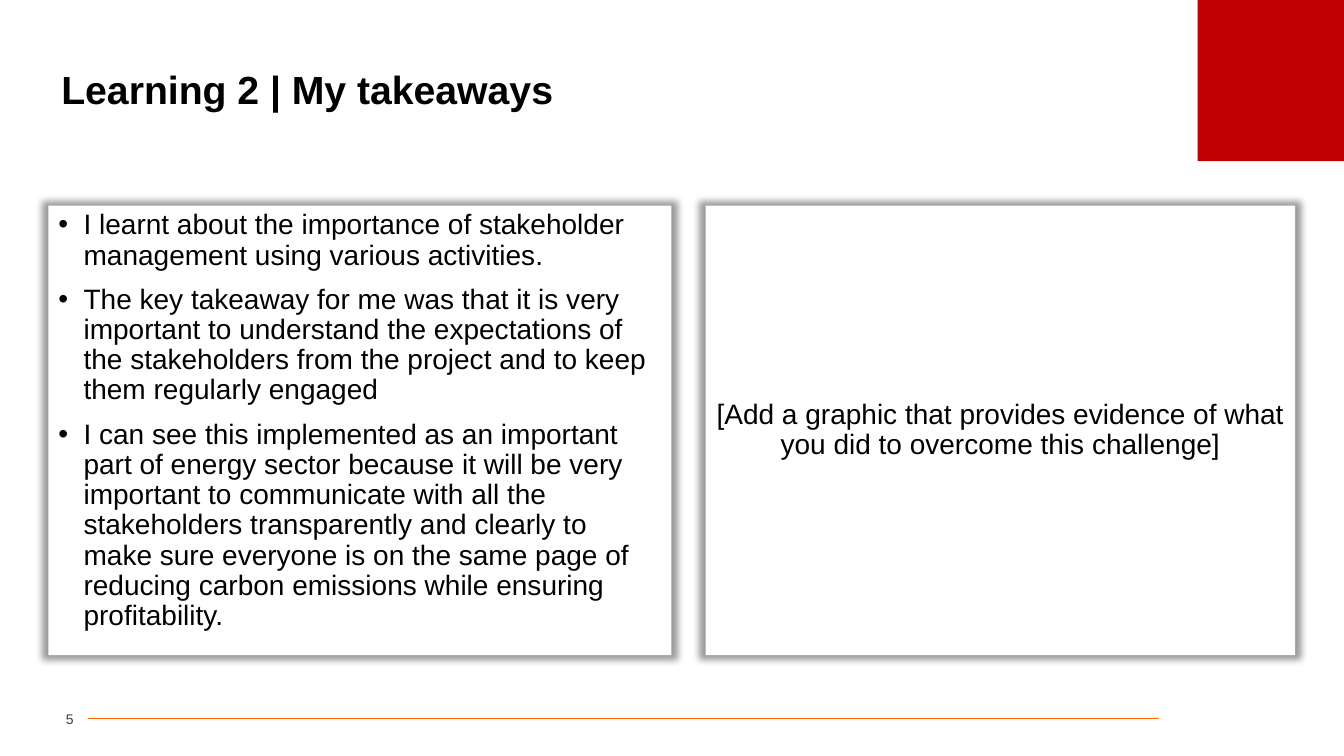
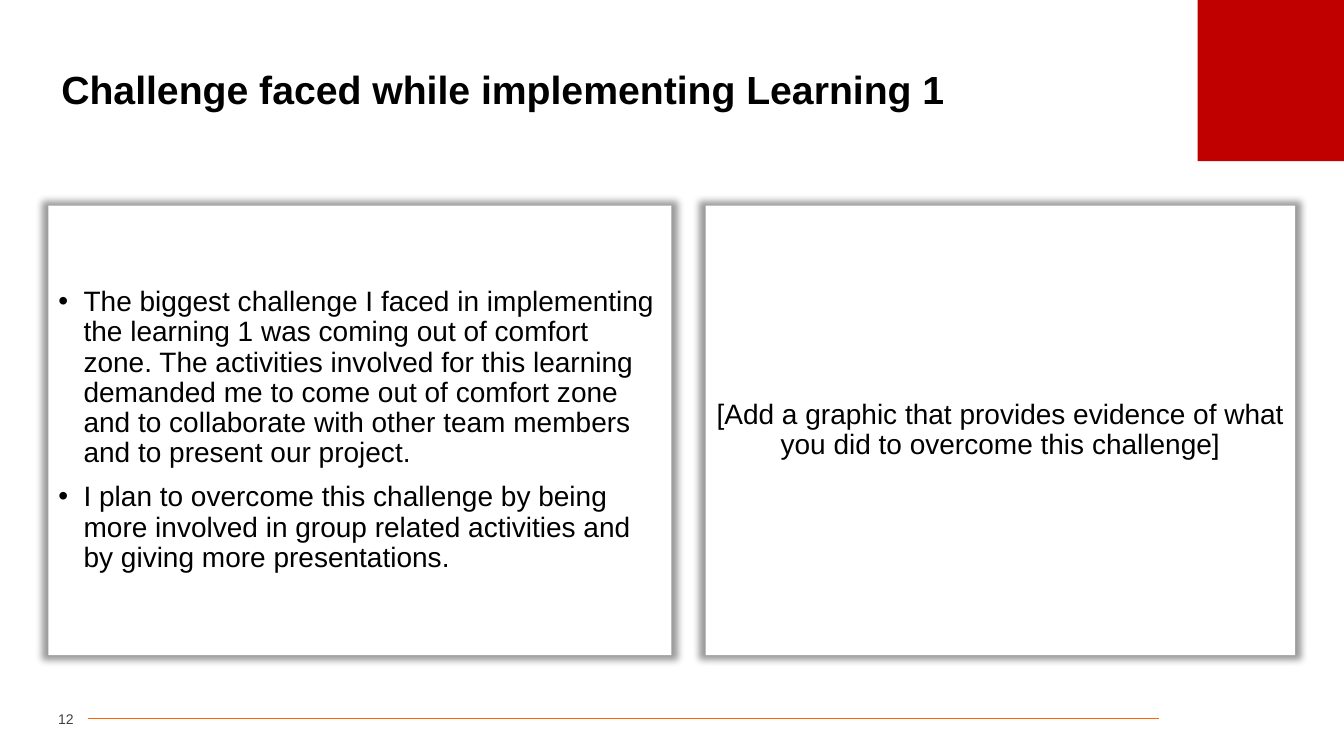
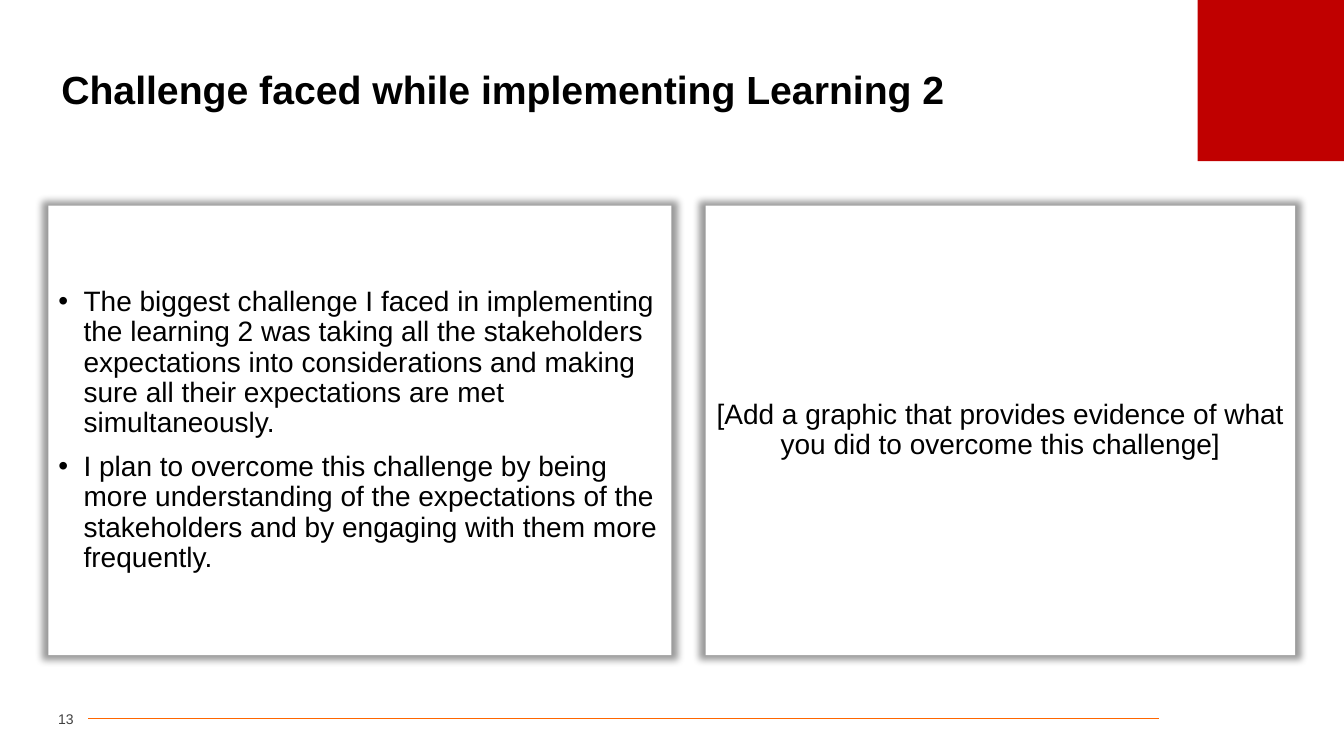
from pptx import Presentation
from pptx.dml.color import RGBColor
from pptx.enum.shapes import MSO_CONNECTOR, MSO_SHAPE
from pptx.enum.text import MSO_ANCHOR, PP_ALIGN
from pptx.oxml import parse_xml
from pptx.oxml.ns import nsdecls, qn
from pptx.oxml.xmlchemy import OxmlElement
from pptx.util import Pt

BLACK = RGBColor(0x00, 0x00, 0x00)
WHITE = RGBColor(0xFF, 0xFF, 0xFF)
RED = RGBColor(0xC0, 0x00, 0x00)
ORANGE = RGBColor(0xFF, 0x66, 0x00)
GREY = RGBColor(0x40, 0x40, 0x40)
RECTANGLE = MSO_SHAPE.RECTANGLE
STRAIGHT = MSO_CONNECTOR.STRAIGHT
TOP, MIDDLE = MSO_ANCHOR.TOP, MSO_ANCHOR.MIDDLE
LEFT, CENTER, RIGHT = PP_ALIGN.LEFT, PP_ALIGN.CENTER, PP_ALIGN.RIGHT

FONT = "Arial"
SLIDE_WIDTH, SLIDE_HEIGHT = 960, 540
PANEL_TOP, PANEL_HEIGHT = 146.9, 321.1
GRAPHIC_HINT = ("[Add a graphic that provides evidence of what you did "
                "to overcome this challenge]")

# Soft glow around a panel: slightly enlarged, centred, 40 % black
PANEL_SHADOW = (
    f'<a:outerShdw {nsdecls("a")} blurRad="63500" sx="102000" sy="102000" '
    'algn="ctr" rotWithShape="0"><a:srgbClr val="000000">'
    '<a:alpha val="40000"/></a:srgbClr></a:outerShdw>')

# Page number, title, anchor of the left panel, bullet points
PAGES = [
    (5, "Learning 2 | My takeaways", TOP, [
        "I learnt about the importance of stakeholder management using "
        "various activities.",
        "The key takeaway for me was that it is very important to understand "
        "the expectations of the stakeholders from the project and to keep "
        "them regularly engaged",
        "I can see this implemented as an important part of energy sector "
        "because it will be very important to communicate with all the "
        "stakeholders transparently and clearly to make sure everyone is on "
        "the same page of reducing carbon emissions while ensuring "
        "profitability."]),
    (12, "Challenge faced while implementing Learning 1", MIDDLE, [
        "The biggest challenge I faced in implementing the learning 1 was "
        "coming out of comfort zone. The activities involved for this "
        "learning demanded me to come out of comfort zone and to collaborate "
        "with other team members and to present our project.",
        "I plan to overcome this challenge by being more involved in group "
        "related activities and by giving more presentations."]),
    (13, "Challenge faced while implementing Learning 2", MIDDLE, [
        "The biggest challenge I faced in implementing the learning 2 was "
        "taking all the stakeholders expectations into considerations and "
        "making sure all their expectations are met simultaneously.",
        "I plan to overcome this challenge by being more understanding of "
        "the expectations of the stakeholders and by engaging with them more "
        "frequently."]),
]


def write_text(box, lines, size=20, color=BLACK, bold=False, align=LEFT,
               anchor=MIDDLE, spacing=0.9, before=0, bullet=False):
    frame = box.text_frame
    frame.word_wrap = True
    frame.vertical_anchor = anchor
    for index, line in enumerate(lines):
        para = frame.add_paragraph() if index else frame.paragraphs[0]
        para.alignment = align
        para.line_spacing = spacing
        para.space_before = Pt(before)
        span = para.add_run()
        span.text = line
        span.font.name = FONT
        span.font.size = Pt(size)
        span.font.bold = bold
        span.font.color.rgb = color
        if bullet:
            properties = para._p.get_or_add_pPr()
            properties.set("marL", str(Pt(18)))
            properties.set("indent", str(-Pt(18)))
            for tag, key, value in (("a:buFont", "typeface", FONT),
                                    ("a:buChar", "char", "•")):
                mark = OxmlElement(tag)
                mark.set(key, value)
                properties.append(mark)


def add_rectangle(page, left, top, width, height, color):
    box = page.shapes.add_shape(RECTANGLE, Pt(left), Pt(top),
                                Pt(width), Pt(height))
    box.fill.solid()
    box.fill.fore_color.rgb = color
    box.line.fill.background()
    box.shadow.inherit = False
    return box


deck = Presentation()
deck.slide_width, deck.slide_height = Pt(SLIDE_WIDTH), Pt(SLIDE_HEIGHT)

for number, title, points_anchor, points in PAGES:
    page = deck.slides.add_slide(deck.slide_layouts[6])

    # Footer line and corner block
    rule = page.shapes.add_connector(STRAIGHT, Pt(63), Pt(513),
                                     Pt(828), Pt(513))
    rule.line.color.rgb = ORANGE
    rule.line.width = Pt(0.5)
    rule._element.spPr.append(OxmlElement("a:effectLst"))
    add_rectangle(page, 855.4, 0, SLIDE_WIDTH - 855.4, 115.2, RED)

    # Title
    heading = page.shapes.add_textbox(Pt(36.7), Pt(37.4), Pt(886.3), Pt(56.2))
    write_text(heading, [title], size=28, bold=True)

    # Page number
    folio = page.shapes.add_textbox(Pt(23.8), Pt(503.3), Pt(28.8), Pt(20.9))
    folio.text_frame.margin_left = folio.text_frame.margin_right = 0
    write_text(folio, [str(number)], size=10, color=GREY, align=RIGHT,
               spacing=1.0)

    # Panels: bullet points and space for a graphic
    for left, width, lines, style in (
            (34.6, 445, points, {"anchor": points_anchor, "bullet": True}),
            (504, 421.2, [GRAPHIC_HINT], {"align": CENTER})):
        panel = add_rectangle(page, left, PANEL_TOP, width, PANEL_HEIGHT,
                              WHITE)
        effects = panel._element.spPr.find(qn("a:effectLst"))
        effects.append(parse_xml(PANEL_SHADOW))
        write_text(panel, lines, before=10, **style)

deck.save("out.pptx")
